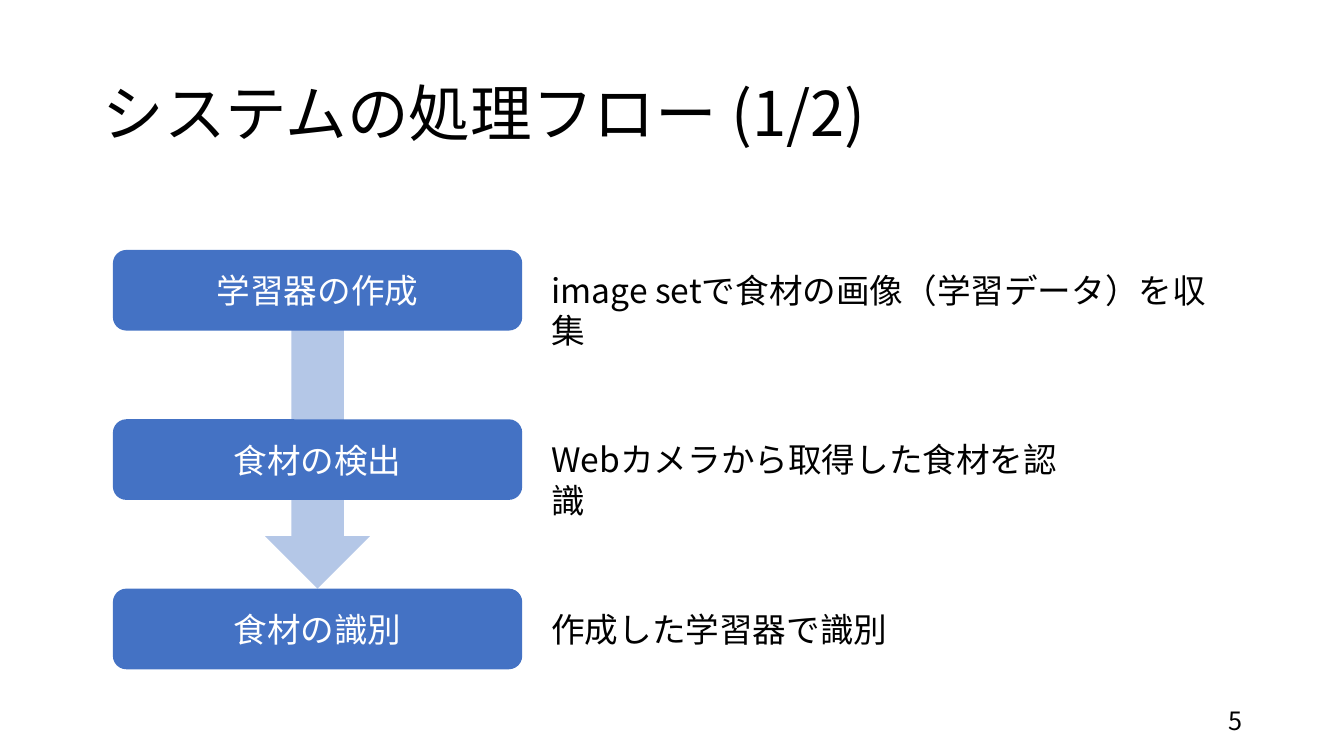
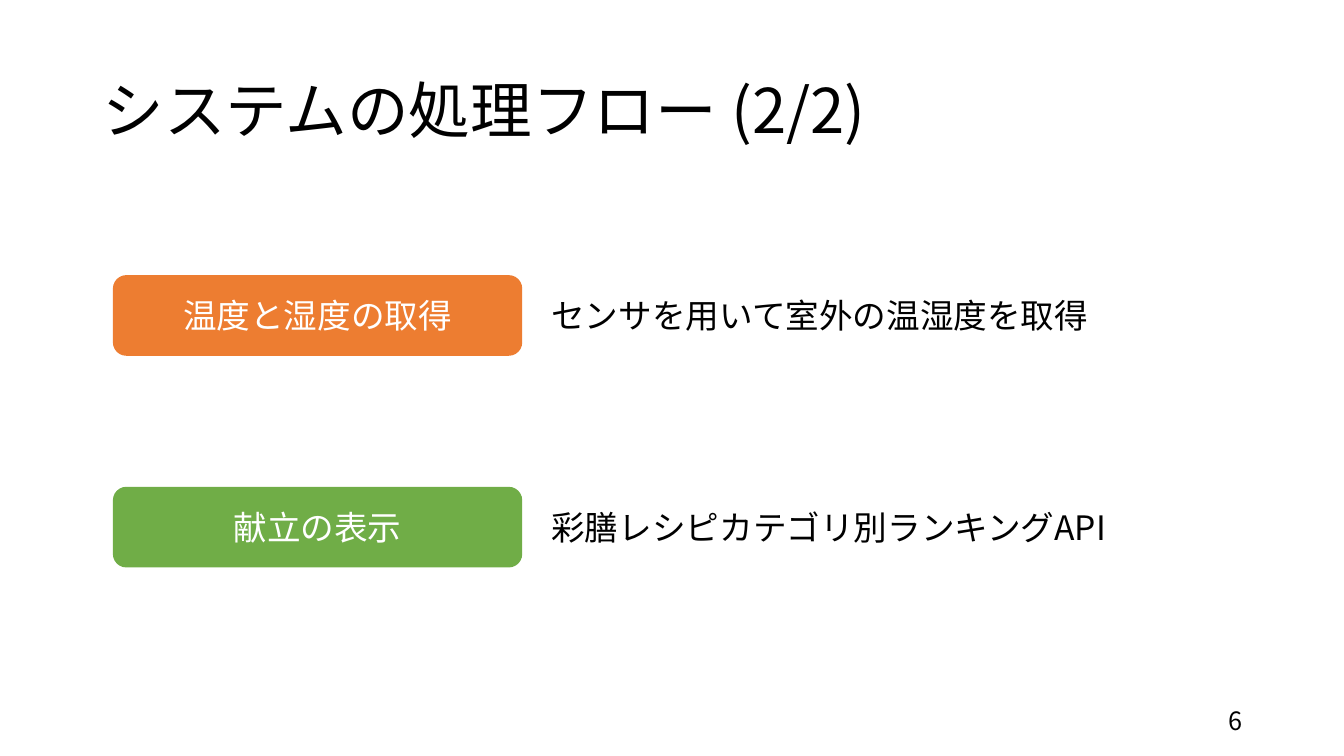
from dataclasses import dataclass

from lxml.etree import SubElement as Sub
from pptx import Presentation
from pptx.dml.color import RGBColor as Rgb
from pptx.enum.shapes import MSO_SHAPE as Kind
from pptx.enum.text import MSO_ANCHOR as Anchor, MSO_AUTO_SIZE as Fit, PP_ALIGN as Align
from pptx.oxml.ns import qn
from pptx.slide import Slide
from pptx.text.text import TextFrame as Frame
from pptx.util import Inches, Pt

HUES = {"ink": "000000", "paper": "FFFFFF", "blue": "4472C4",
        "pale": "B4C7E7", "orange": "ED7D31", "green": "70AD47"}
FONT = "Noto Sans CJK JP"
STYLES = {
    "title": {"size": 44, "hue": "ink", "frame": {"vertical_anchor": Anchor.MIDDLE},
              "para": {"line_spacing": 0.9}},
    "step": {"size": 24, "hue": "paper", "frame": {"vertical_anchor": Anchor.MIDDLE},
             "para": {"alignment": Align.CENTER}},
    "note": {"size": 24, "hue": "ink", "frame": {"auto_size": Fit.SHAPE_TO_FIT_TEXT},
             "para": {}},
    "number": {"size": 18, "hue": "ink", "frame": {"vertical_anchor": Anchor.MIDDLE},
               "para": {"alignment": Align.RIGHT}},
}
LEFT, WIDE, HIGH = 1.12, 4.06, 0.8
NOTE_LEFT, NOTE_DROP, NOTE_HIGH = 5.37, 0.15, 0.5
ARROW_WIDE = 1.04


@dataclass
class Step:
    """One box of the flow, with the note at its right."""
    name: str
    hue: str
    note: str
    width: float


@dataclass
class Page:
    """One slide: its title, number and evenly spaced steps."""
    title: str
    title_top: float
    number: str
    top: float
    pitch: float
    steps: list[Step]
    arrow: bool = False


PAGES = [
    Page("システムの処理フロー (1/2)", 0.43, "5", 2.48, 1.68, [
        Step("学習器の作成", "blue", "image setで食材の画像（学習データ）を収集", 7.0),
        Step("食材の検出", "blue", "Webカメラから取得した食材を認識", 5.5),
        Step("食材の識別", "blue", "作成した学習器で識別", 3.57),
    ], arrow=True),
    Page("システムの処理フロー (2/2)", 0.4, "6", 2.73, 2.1, [
        Step("温度と湿度の取得", "orange", "センサを用いて室外の温湿度を取得", 5.59),
        Step("献立の表示", "green", "彩膳レシピカテゴリ別ランキングAPI", 5.79),
    ]),
]


def apply(item: object, values: dict) -> None:
    """Set each named attribute of the item."""
    for key, value in values.items():
        setattr(item, key, value)


def write(frame: Frame, text: str, style: str) -> None:
    """Fill a text frame with one styled paragraph."""
    look = STYLES[style]
    apply(frame, {"word_wrap": True, **look["frame"]})
    para = frame.paragraphs[0]
    apply(para, look["para"])
    run = para.add_run()
    run.text = text
    apply(run.font, {"name": FONT, "size": Pt(look["size"])})
    run.font.color.rgb = Rgb.from_string(HUES[look["hue"]])
    Sub(run.font._element, qn("a:ea"), typeface=FONT)


def label(slide: Slide, box: tuple, text: str, style: str) -> None:
    """Add a text box."""
    write(slide.shapes.add_textbox(*map(Inches, box)).text_frame, text, style)


def block(slide: Slide, kind: Kind, box: tuple, hue: str, text: str = "") -> None:
    """Add a plain filled shape, with text if given."""
    shape = slide.shapes.add_shape(kind, *map(Inches, box))
    shape.shadow.inherit = False
    shape.fill.solid()
    shape.fill.fore_color.rgb = Rgb.from_string(HUES[hue])
    shape.line.fill.background()
    if text:
        write(shape.text_frame, text, "step")


def draw(slide: Slide, page: Page) -> None:
    """Draw the title, arrow, steps and number of a page."""
    label(slide, (0.92, page.title_top, 11.5, 1.45), page.title, "title")
    if page.arrow:
        start = page.top + HIGH - 0.12
        end = page.top + page.pitch * (len(page.steps) - 1)
        block(slide, Kind.DOWN_ARROW,
              (LEFT + (WIDE - ARROW_WIDE) / 2, start, ARROW_WIDE, end - start), "pale")
    for i, step in enumerate(page.steps):
        top = page.top + i * page.pitch
        block(slide, Kind.ROUNDED_RECTANGLE, (LEFT, top, WIDE, HIGH), step.hue, step.name)
        label(slide, (NOTE_LEFT, top + NOTE_DROP, step.width, NOTE_HIGH), step.note, "note")
    label(slide, (9.42, 6.95, 3, 0.4), page.number, "number")


def main() -> None:
    """Build and save the slides."""
    deck = Presentation()
    apply(deck, {"slide_width": Inches(13.33), "slide_height": Inches(7.5)})
    for page in PAGES:
        draw(deck.slides.add_slide(deck.slide_layouts[6]), page)
    deck.save("out.pptx")


main()
